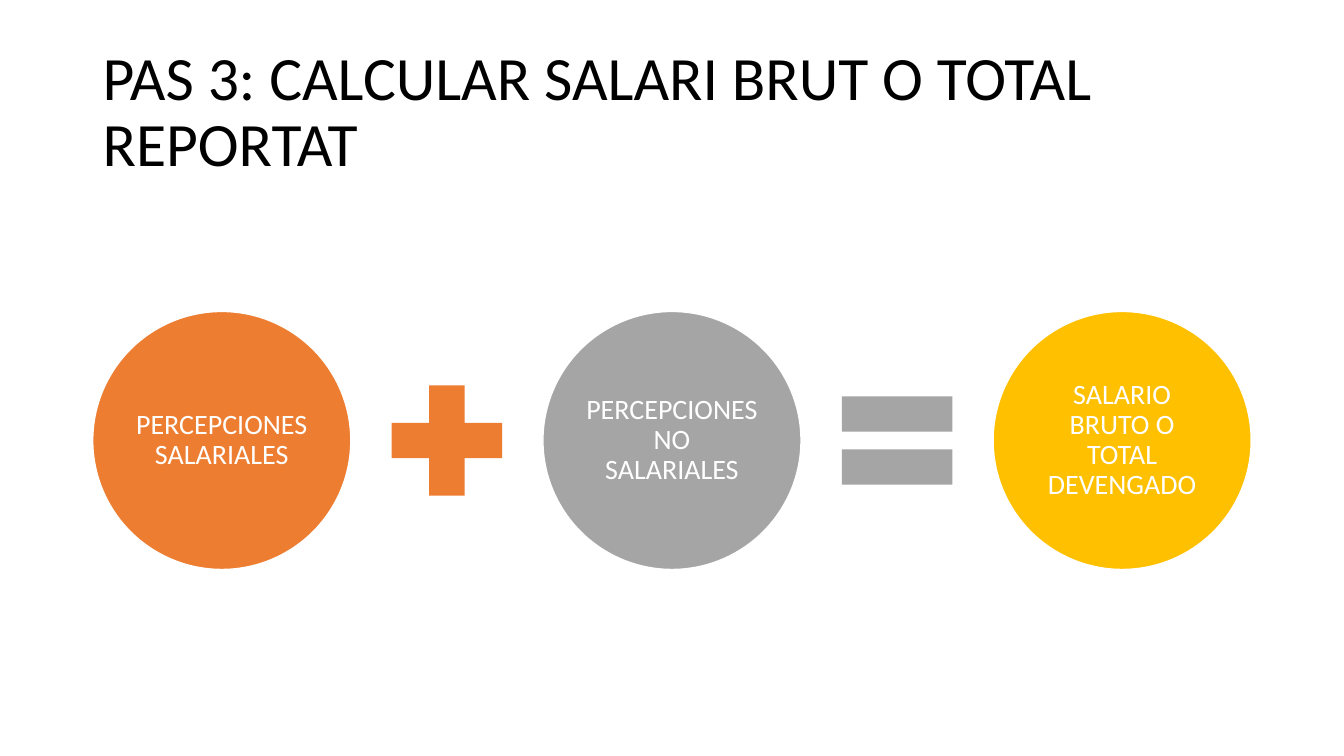
from pptx import Presentation
from pptx.dml.color import RGBColor
from pptx.enum.shapes import MSO_SHAPE as Shape
from pptx.enum.text import MSO_ANCHOR as Anchor, PP_ALIGN as Align
from pptx.util import Inches, Pt

BLACK = RGBColor(0x00, 0x00, 0x00)
WHITE = RGBColor(0xFF, 0xFF, 0xFF)
ORANGE = RGBColor(0xED, 0x7D, 0x31)
GRAY = RGBColor(0xA5, 0xA5, 0xA5)
GOLD = RGBColor(0xFF, 0xC0, 0x00)

# Equation grid, in inches: terms and operators alternate at equal steps
LEFT = 0.92
TERM_SIZE = 2.56
OPERATOR_SIZE = 1.49
STEP = 2.2325
MIDDLE = 4.37

prs = Presentation()
prs.slide_width, prs.slide_height = Inches(13.33), Inches(7.5)
slide = prs.slides.add_slide(prs.slide_layouts[6])


def write(frame, text, size, color, align):
    frame.word_wrap = True
    frame.vertical_anchor = Anchor.MIDDLE
    paragraph = frame.paragraphs[0]
    paragraph.text = text
    paragraph.alignment = align
    paragraph.line_spacing = 0.9
    paragraph.font.name = "Calibri"
    paragraph.font.size = Pt(size)
    paragraph.font.color.rgb = color


def add_symbol(position, kind, size, color):
    center = LEFT + TERM_SIZE / 2 + position * STEP
    symbol = slide.shapes.add_shape(
        kind, Inches(center - size / 2), Inches(MIDDLE - size / 2),
        Inches(size), Inches(size))
    symbol.shadow.inherit = False
    symbol.fill.solid()
    symbol.fill.fore_color.rgb = color
    symbol.line.fill.background()
    return symbol


# Title
title = slide.shapes.add_textbox(Inches(LEFT), Inches(0.4), Inches(11.5), Inches(1.45))
write(title.text_frame, "PAS 3: CALCULAR SALARI BRUT O TOTAL REPORTAT", 44, BLACK, Align.LEFT)

# Terms of the equation
terms = [
    ("PERCEPCIONES SALARIALES", ORANGE),
    ("PERCEPCIONES NO SALARIALES", GRAY),
    ("SALARIO BRUTO O TOTAL DEVENGADO", GOLD),
]
for index, (label, color) in enumerate(terms):
    term = add_symbol(2 * index, Shape.OVAL, TERM_SIZE, color)
    term.line.color.rgb = WHITE
    term.line.width = Pt(1)
    frame = term.text_frame
    frame.margin_left = frame.margin_right = Inches(0.03)
    frame.margin_top = frame.margin_bottom = Inches(0.03)
    write(frame, label, 20, WHITE, Align.CENTER)

# Operators between the terms
add_symbol(1, Shape.MATH_PLUS, OPERATOR_SIZE, ORANGE)
add_symbol(3, Shape.MATH_EQUAL, OPERATOR_SIZE, GRAY)

prs.save("out.pptx")
